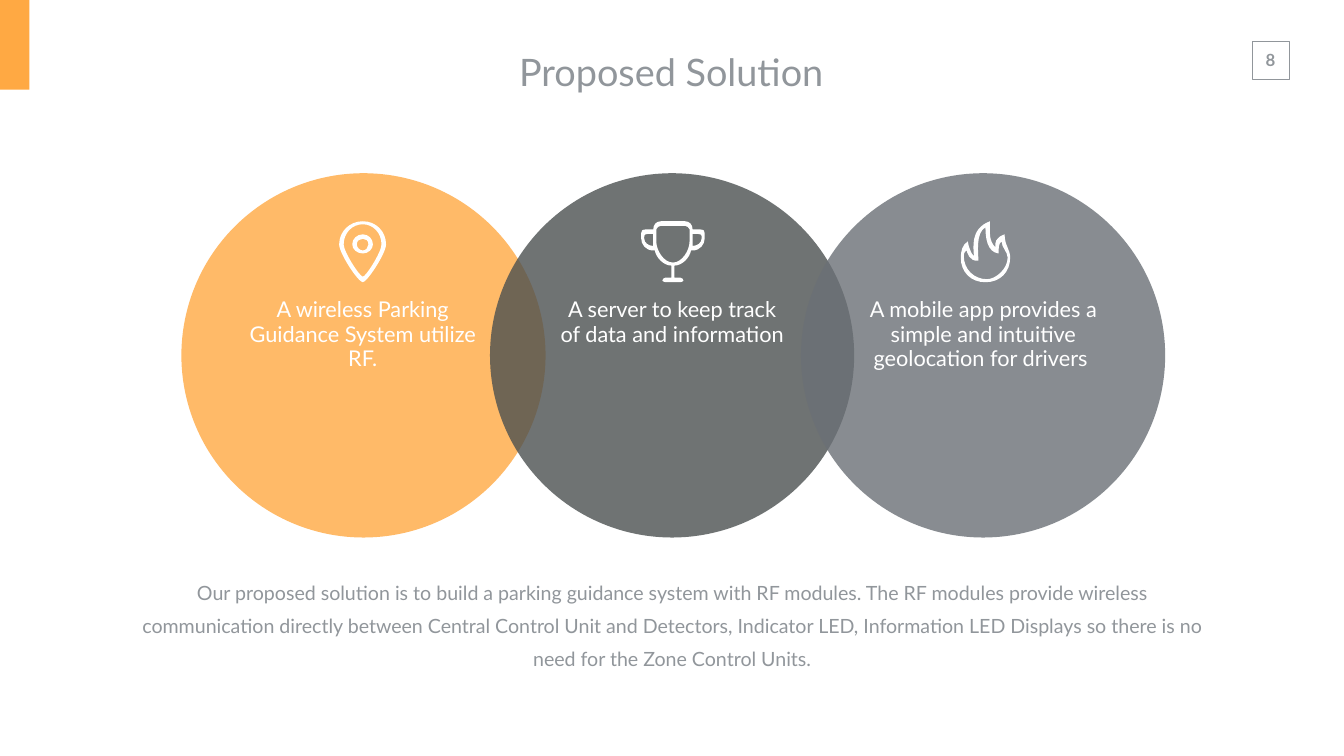
from pptx import Presentation
from pptx.dml.color import RGBColor
from pptx.enum.shapes import MSO_SHAPE
from pptx.enum.text import MSO_ANCHOR, MSO_AUTO_SIZE, PP_ALIGN
from pptx.oxml.ns import qn
from pptx.util import Cm, Pt
from lxml import etree

RECT, OVAL = MSO_SHAPE.RECTANGLE, MSO_SHAPE.OVAL
TOP, MID = MSO_ANCHOR.TOP, MSO_ANCHOR.MIDDLE
GROW = MSO_AUTO_SIZE.SHAPE_TO_FIT_TEXT
CENTER = PP_ALIGN.CENTER
FONT, GREY, WHITE, AMBER = "Lato", "91969B", "FFFFFF", "FFA943"

TITLE = "Proposed Solution"
PAGE = "8"
BODY = (
    "Our proposed solution is to build a parking guidance system with RF modules. "
    "The RF modules provide wireless communication directly between Central Control "
    "Unit and Detectors, Indicator LED, Information LED Displays so there is no need "
    "for the Zone Control Units."
)

PIN = [
    [(47, 0), (21, 0, 0, 20, 0, 46), (0, 64, 38, 121, 47, 121),
     (55, 121, 93, 64, 93, 46), (93, 20, 73, 0, 47, 0)],
    [(47, 110), (41, 110, 9, 61, 9, 46), (9, 23, 26, 6, 47, 6),
     (67, 6, 84, 23, 84, 46), (84, 61, 53, 110, 47, 110)],
    [(47, 26), (35, 26, 26, 35, 26, 46), (26, 55, 35, 64, 47, 64),
     (58, 64, 67, 55, 67, 46), (67, 35, 58, 26, 47, 26)],
    [(47, 58), (41, 58, 35, 52, 35, 46), (35, 38, 41, 35, 47, 35),
     (53, 35, 58, 38, 58, 46), (58, 52, 53, 58, 47, 58)],
]
CUP = [
    [(105, 16), (105, 7, 99, 0, 90, 0), (42, 0), (33, 0, 27, 7, 27, 16),
     (0, 16, 3, 16, 3, 34), (3, 46, 12, 58, 27, 58), (30, 58),
     (33, 73, 48, 88, 63, 88), (63, 112), (51, 112),
     (48, 112, 45, 115, 45, 118), (45, 118, 48, 121, 51, 121), (81, 121),
     (84, 121, 87, 118, 87, 118), (87, 115, 84, 112, 81, 112), (69, 112),
     (69, 88), (84, 88, 99, 73, 102, 58), (105, 58),
     (120, 58, 129, 46, 129, 34), (129, 16, 132, 16, 105, 16)],
    [(27, 49), (18, 49, 9, 43, 9, 34), (9, 25, 9, 25, 27, 25)],
    [(99, 40), (99, 58, 84, 82, 66, 82), (48, 82, 33, 58, 33, 40), (33, 16),
     (33, 13, 39, 9, 42, 9), (90, 9), (93, 9, 99, 13, 99, 16)],
    [(105, 49), (105, 25), (123, 25, 123, 25, 123, 34),
     (123, 43, 114, 49, 105, 49)],
]
FLAME = [
    [(87, 26), (69, 32, 67, 43, 69, 52), (55, 38, 58, 23, 58, 0),
     (17, 15, 26, 55, 26, 69), (17, 61, 14, 40, 14, 40), (3, 46, 0, 61, 0, 72),
     (0, 101, 20, 121, 49, 121), (78, 121, 98, 101, 98, 72),
     (98, 55, 87, 49, 87, 26)],
    [(52, 115), (26, 115, 6, 95, 6, 69), (6, 66, 6, 61, 12, 58),
     (12, 61, 17, 81, 35, 78), (35, 64, 29, 23, 49, 12),
     (49, 32, 52, 61, 75, 64), (75, 55, 75, 43, 81, 40),
     (81, 52, 93, 61, 93, 72), (93, 95, 69, 115, 52, 115)],
]
CIRCLES = [(9.14, AMBER), (24.69, "4B5050"), (40.36, "6B7076")]
LABELS = [
    (11.99, 4.32, "A wireless Parking Guidance System utilize RF."),
    (27.58, 4.32, "A server to keep track of data and information"),
    (43.26, 6.83,
     "A mobile app provides a simple and intuitive geolocation for drivers "),
]
ICONS = [(17.09, PIN), (32.23, CUP), (48.41, FLAME)]
UNIT = Cm(2.54) / 100


def color(code):
    return RGBColor.from_string(code)


def paint(shape, fill=None, line=None, alpha=None):
    shape.shadow.inherit = False
    if fill:
        shape.fill.solid()
        shape.fill.fore_color.rgb = color(fill)
    else:
        shape.fill.background()
    if line:
        shape.line.color.rgb = color(line)
        shape.line.width = Pt(1)
    else:
        shape.line.fill.background()
    if alpha:
        tint = shape.fill._xPr.find(qn("a:solidFill"))[0]
        etree.SubElement(tint, qn("a:alpha"), val=str(alpha * 1000))


def add_form(kind, box, **style):
    paint(slide.shapes.add_shape(kind, *map(Cm, box)), **style)


def add_text(text, box, size, tone, pad=(0.25, 0.13), gap=None,
             anchor=TOP, wrap=True, bold=False):
    frame = slide.shapes.add_textbox(*map(Cm, box)).text_frame
    frame.word_wrap = wrap
    frame.auto_size = GROW
    frame.vertical_anchor = anchor
    frame.margin_left = frame.margin_right = Cm(pad[0])
    frame.margin_top = frame.margin_bottom = Cm(pad[1])
    para = frame.paragraphs[0]
    para.text = text
    para.alignment = CENTER
    if gap:
        para.line_spacing = gap
    font = para.font
    font.name, font.size, font.bold = FONT, Pt(size), bold
    font.color.rgb = color(tone)


def add_icon(rings, left, top):
    pen = slide.shapes.build_freeform(*rings[0][0], scale=UNIT)
    for ring in rings:
        if ring is not rings[0]:
            pen.move_to(*ring[0])
        dots = [part[i:i + 2] for part in ring[1:]
                for i in range(0, len(part), 2)]
        pen.add_line_segments(dots, close=True)
    shape = pen.convert_to_shape(Cm(left), Cm(top))
    bend(shape, [part for ring in rings for part in ring[1:]])
    paint(shape, fill=WHITE)


def bend(shape, parts):
    lines = iter(list(shape._element.iter(qn("a:lnTo"))))
    for part in parts:
        first = next(lines)
        if len(part) == 6:
            curve = etree.Element(qn("a:cubicBezTo"))
            first.addprevious(curve)
            for line in (first, next(lines), next(lines)):
                curve.append(line[0])
                line.getparent().remove(line)


deck = Presentation()
deck.slide_width, deck.slide_height = Cm(67.72), Cm(38.1)
slide = deck.slides.add_slide(deck.slide_layouts[6])

add_text(PAGE, (62.99, 2.27, 2.06, 1.55), 24, GREY, (0.51, 0.25),
         wrap=False, bold=True)
add_form(RECT, (63.08, 2.08, 1.9, 1.9), line=GREY)
add_form(RECT, (0, 0, 1.48, 4.52), fill=AMBER)
add_text(BODY, (6.74, 28.69, 54.25, 5.21), 28, GREY, gap=1.4)
for left, fill in CIRCLES:
    add_form(OVAL, (left, 8.73, 18.35, 18.36), fill=fill, alpha=80)
for left, high, label in LABELS:
    add_text(label, (left, 14.75, 12.57, high), 31, WHITE, (0.51, 0.25), gap=0.95)
for left, icon in ICONS:
    add_icon(icon, left, 11.15)
add_text(TITLE, (20.7, 2.11, 26.24, 3), 54, GREY, (0.69, 0.33), anchor=MID)

deck.save("out.pptx")
